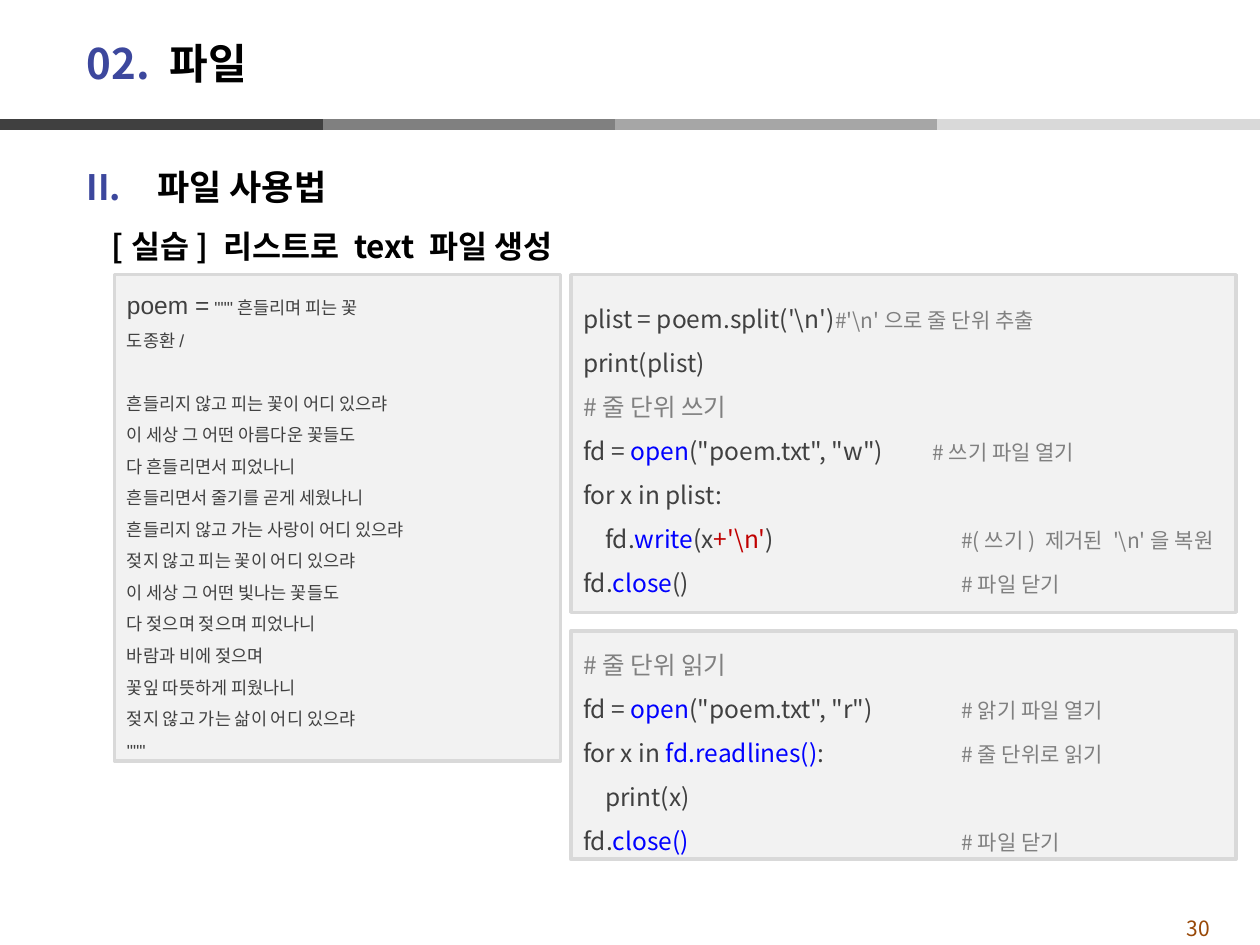
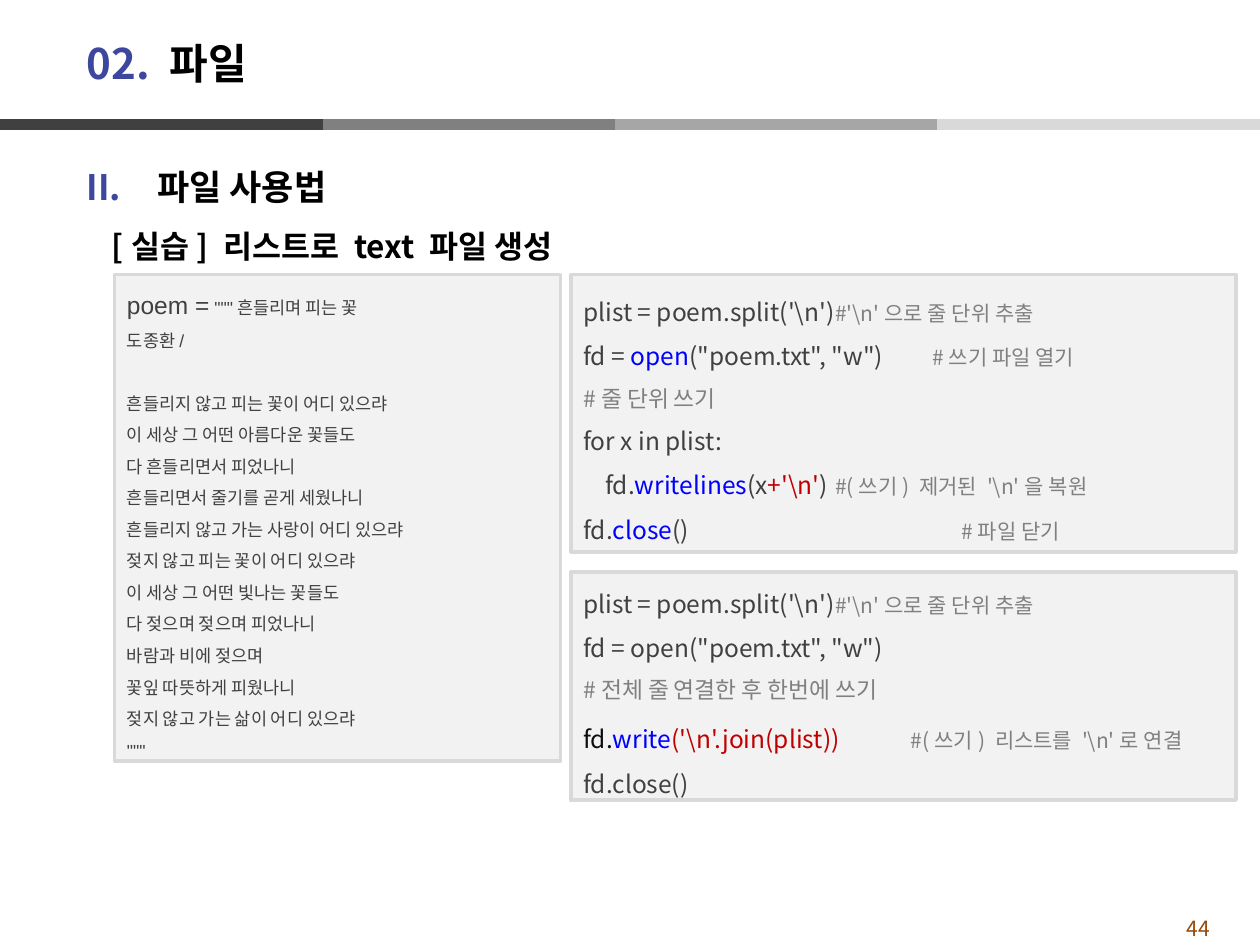
from dataclasses import dataclass

from lxml.etree import SubElement
from pptx import Presentation
from pptx.dml.color import RGBColor
from pptx.enum.shapes import MSO_CONNECTOR as Line, MSO_SHAPE as Shape
from pptx.enum.text import MSO_ANCHOR as Anchor, PP_ALIGN as Align
from pptx.oxml.ns import qn
from pptx.util import Inches, Pt

# Content: code lines are (comment tab in inches or None, (text, style), ...)
TITLE = [("02. ", "title_no"), ("파일", "title")]
SECTION = "파일 사용법"
PRACTICE = "[실습] 리스트로 text 파일 생성"

POEM_HEAD = [("poem =", "poem_code"), (' """흔들리며 피는 꽃', "poem")]
POEM_AUTHOR = "도종환/"
POEM = [
    "흔들리지 않고 피는 꽃이 어디 있으랴",
    "이 세상 그 어떤 아름다운 꽃들도",
    "다 흔들리면서 피었나니",
    "흔들리면서 줄기를 곧게 세웠나니",
    "흔들리지 않고 가는 사랑이 어디 있으랴",
    "젖지 않고 피는 꽃이 어디 있으랴",
    "이 세상 그 어떤 빛나는 꽃들도",
    "다 젖으며 젖으며 피었나니",
    "바람과 비에 젖으며",
    "꽃잎 따뜻하게 피웠나니",
    "젖지 않고 가는 삶이 어디 있으랴",
    '"""',
]

SPLIT = (2, ("plist = poem.split('\\n')\t", "code"), ("#'\\n'으로 줄 단위 추출", "note"))
OPEN_W = (2.77, ("fd = ", "code"), ("open", "call"), ('("poem.txt", "w")\t', "code"),
          ("#쓰기 파일 열기", "note"))
LOOP = (None, ("for x in plist:", "code"))
CLOSE = (3, ("fd.", "code"), ("close", "call"), ("()\t", "code"), ("#파일 닫기", "note"))


def write_line(method, tab):
    return (tab, ("    fd.", "code"), (method, "call"), ("(x", "code"), ("+'\\n'", "accent"),
            (")\t", "code"), ("#(쓰기) 제거된 '\\n'을 복원", "note"))


# Each slide: page number and code boxes as (top, height, lines)
SLIDES = [
    ("30", [
        (2.18, 2.68, [
            SPLIT,
            (None, ("print(plist)", "code")),
            (None, ("#줄 단위 쓰기", "note_big")),
            OPEN_W,
            LOOP,
            write_line("write", 3),
            CLOSE,
        ]),
        (5.01, 1.81, [
            (None, ("#줄 단위 읽기", "note_big")),
            (3, ("fd = ", "code"), ("open", "call"), ('("poem.txt", "r")\t', "code"),
             ("#앍기 파일 열기", "note")),
            (3, ("for x in ", "code"), ("fd.readlines()", "call"), (":\t", "code"),
             ("#줄 단위로 읽기", "note")),
            (None, ("    print(x)", "code")),
            (3, ("fd.", "code"), ("close()\t", "call"), ("#파일 닫기", "note")),
        ]),
    ]),
    ("44", [
        (2.18, 2.2, [
            SPLIT,
            OPEN_W,
            (None, ("#줄 단위 쓰기", "note_mid")),
            LOOP,
            write_line("writelines", 2),
            CLOSE,
        ]),
        (4.54, 1.81, [
            SPLIT,
            (None, ('fd = open("poem.txt", "w")', "code")),
            (None, ("#전체 줄 연결한 후 한번에 쓰기", "note_mid")),
            (2.6, ("fd.", "code_dark"), ("write", "call"), ("('\\n'.join(plist))", "accent"),
             ("\t", "gap"), ("#(쓰기) 리스트를 '\\n'로 연결", "note")),
            (None, ("fd.close()", "code")),
        ]),
    ]),
]


# Theme
@dataclass(frozen=True)
class Theme:
    sans: str = "Noto Sans CJK KR"
    arial: str = "Arial"
    number: str = "3C479D"
    box: str = "F2F2F2"
    edge: str = "D9D9D9"
    band: tuple = ("404040", "808080", "A6A6A6", "D9D9D9")
    spacing: float = 1.5

    def style(self, name):
        """Font, size, colour and weight of a run style."""
        return {
            "title_no": (self.sans, 24, self.number, True),
            "title": (self.sans, 24, "000000", True),
            "section": (self.arial, 20, "000000", True),
            "practice": (self.sans, 18, "000000", True),
            "poem_code": (self.arial, 14, "404040", False),
            "poem": (self.arial, 10, "404040", False),
            "code": (self.sans, 14, "404040", False),
            "code_dark": (self.sans, 14, "0D0D0D", False),
            "call": (self.sans, 14, "0000FF", False),
            "accent": (self.sans, 14, "C00000", False),
            "gap": (self.sans, 16, "404040", False),
            "note": (self.sans, 12, "808080", False),
            "note_mid": (self.sans, 13, "808080", False),
            "note_big": (self.sans, 14, "808080", False),
            "page": (self.sans, 12, "984807", False),
        }[name]


T = Theme()


# Text helpers
def rgb(value):
    return RGBColor.from_string(value)


def add_runs(p, runs):
    for text, name in runs:
        r = p.add_run()
        r.text = text
        font, size, color, bold = T.style(name)
        r.font.name, r.font.size, r.font.bold = font, Pt(size), bold
        r.font.color.rgb = rgb(color)
        SubElement(r.font._element, qn("a:ea"), typeface=T.sans)


def add_lines(tf, lines):
    for i, (tab, *runs) in enumerate(lines):
        p = tf.paragraphs[0] if i == 0 else tf.add_paragraph()
        p.alignment, p.line_spacing = Align.LEFT, T.spacing
        if tab:
            tabs = SubElement(p._p.get_or_add_pPr(), qn("a:tabLst"))
            SubElement(tabs, qn("a:tab"), pos=str(Inches(tab)), algn="l")
        add_runs(p, runs)


def add_text(s, left, top, width, height):
    tf = s.shapes.add_textbox(*map(Inches, (left, top, width, height))).text_frame
    tf.word_wrap = True
    return tf


# Slide parts
def add_frame(s, page):
    # Grey band; the second piece starts under the first
    step = 2.56
    starts = [0, 2.32, 4.88, 7.44]
    for i in (1, 2, 3, 0):
        c = s.shapes.add_connector(Line.STRAIGHT, Inches(starts[i]), Inches(0.99),
                                   Inches(starts[i] + step), Inches(0.99))
        c.line.color.rgb, c.line.width = rgb(T.band[i]), Pt(6)
        SubElement(c._element.spPr, qn("a:effectLst"))

    p = add_text(s, 9.05, 7.22, 0.92, 0.23).paragraphs[0]
    p.alignment = Align.CENTER
    add_runs(p, [(page, "page")])


def add_title(s):
    t = s.shapes.title
    t.left, t.top, t.width, t.height = map(Inches, (0.59, 0.2, 8.74, 0.6))
    tf = t.text_frame
    tf.vertical_anchor = Anchor.MIDDLE
    p = tf.paragraphs[0]
    p.alignment = Align.LEFT
    add_runs(p, TITLE)


def add_headings(s):
    tf = add_text(s, 0.59, 1.1, 9.21, 1.01)
    add_lines(tf, [(None, (SECTION, "section")), (None, (PRACTICE, "practice"))])
    section, practice = (p._p.get_or_add_pPr() for p in tf.paragraphs)
    section.set("marL", str(Inches(0.56)))
    section.set("indent", str(-Inches(0.56)))
    color = SubElement(section, qn("a:buClr"))
    SubElement(color, qn("a:srgbClr"), val=T.number)
    SubElement(section, qn("a:buFont"), typeface=T.sans)
    SubElement(section, qn("a:buAutoNum"), type="romanUcPeriod", startAt="2")
    practice.set("marL", str(Inches(0.2)))


def add_box(s, left, top, width, height, lines):
    sp = s.shapes.add_shape(Shape.RECTANGLE, *map(Inches, (left, top, width, height)))
    sp.shadow.inherit = False
    sp.fill.solid()
    sp.fill.fore_color.rgb = rgb(T.box)
    sp.line.color.rgb, sp.line.width = rgb(T.edge), Pt(2)
    tf = sp.text_frame
    tf.word_wrap, tf.vertical_anchor = True, Anchor.MIDDLE
    add_lines(tf, lines)
    return tf


def add_poem(s):
    lines = [(None, *POEM_HEAD)]
    lines += [(None, (text, "poem")) for text in [POEM_AUTHOR, *POEM]]
    tf = add_box(s, 0.91, 2.18, 3.54, 3.86, lines)
    tf.paragraphs[2].space_before = Pt(18)  # one line between author and verse


def main():
    prs = Presentation()
    prs.slide_width, prs.slide_height = Inches(10), Inches(7.5)
    for page, boxes in SLIDES:
        s = prs.slides.add_slide(prs.slide_layouts[5])
        add_frame(s, page)
        add_title(s)
        add_headings(s)
        add_poem(s)
        for top, height, lines in boxes:
            add_box(s, 4.53, top, 5.28, height, lines)
    prs.save("out.pptx")


if __name__ == "__main__":
    main()
